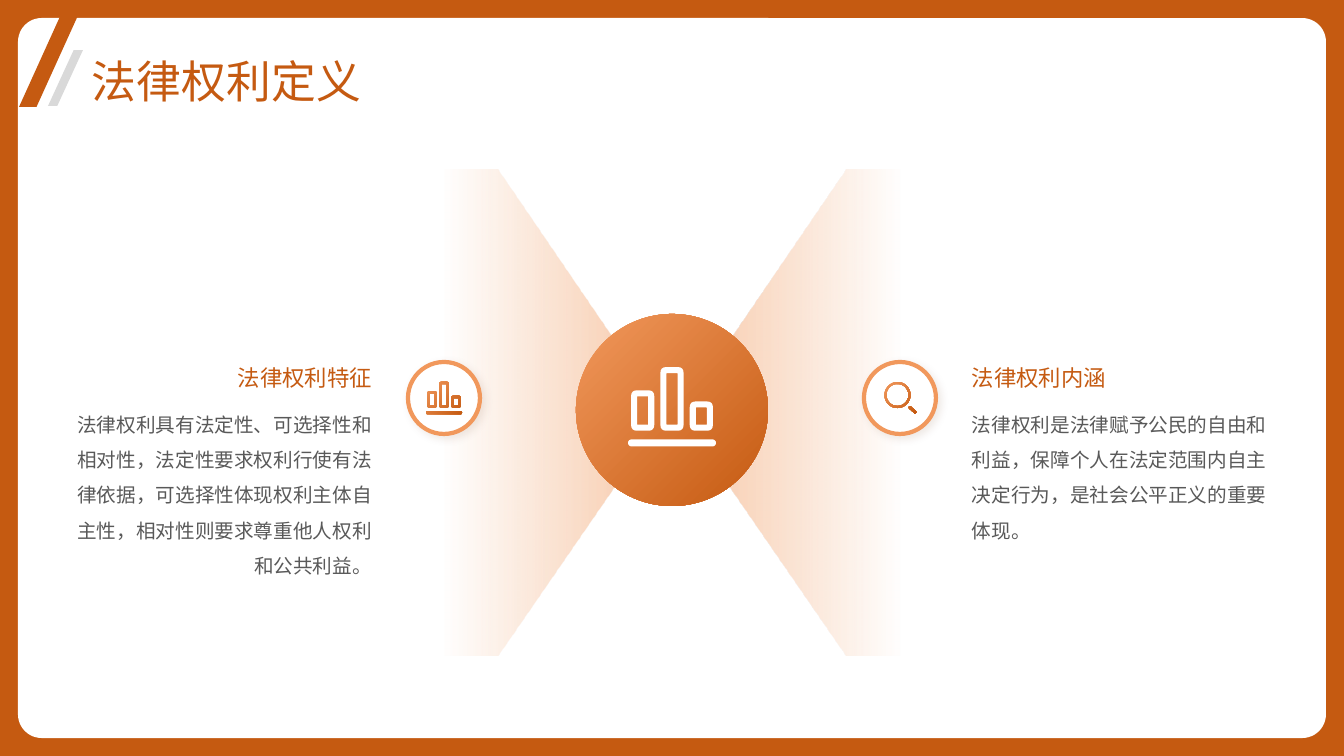
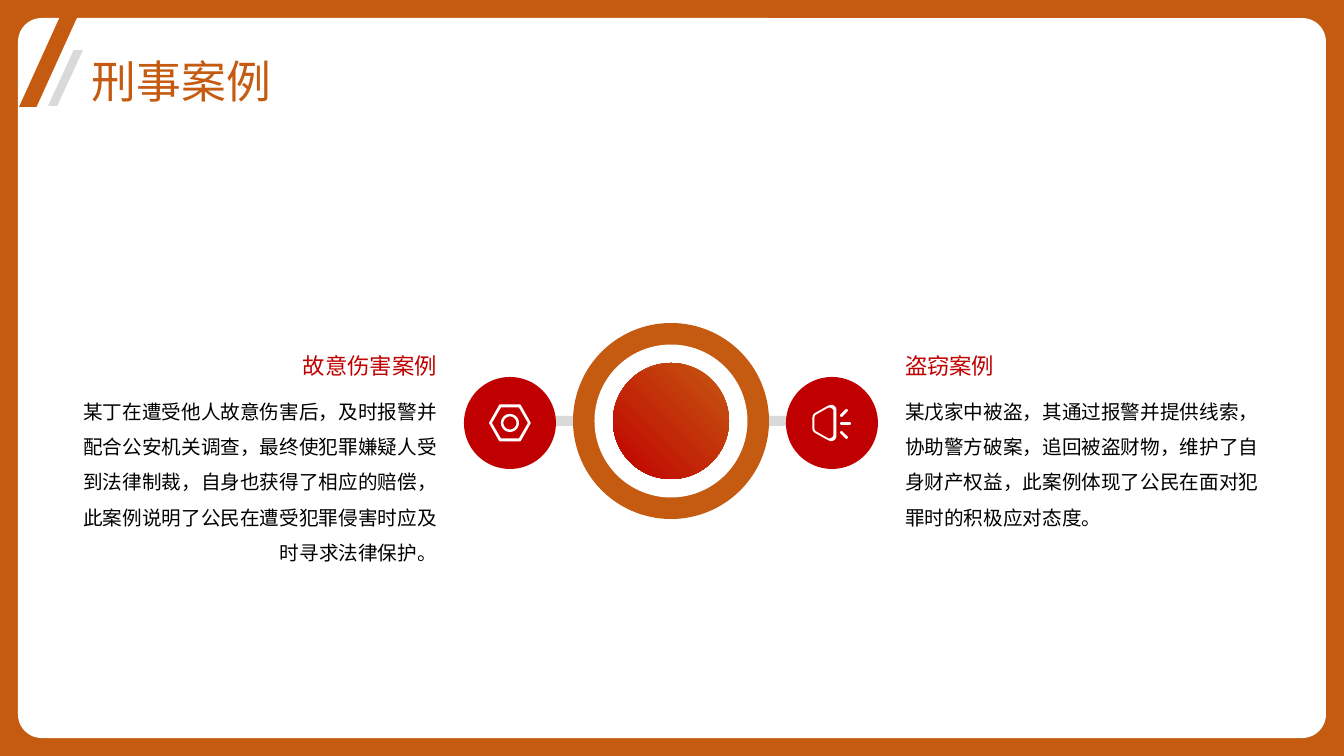
import math
from dataclasses import dataclass

import pptx
import pptx.dml.color
import pptx.enum.shapes
import pptx.enum.text
import pptx.oxml
import pptx.oxml.ns
import pptx.util

SHAPE = pptx.enum.shapes.MSO_SHAPE
ANCHOR = pptx.enum.text.MSO_ANCHOR
ALIGN = pptx.enum.text.PP_ALIGN
qn = pptx.oxml.ns.qn

EMU_PER_PX = 914400 / 100.8
SLIDE_W, SLIDE_H = 1344, 756


@dataclass(frozen=True)
class Gradient:
    start: str
    end: str
    angle: int  # clockwise degrees
    end_at: float = 1.0
    alphas: tuple = ()


@dataclass(frozen=True)
class Theme:
    font: str = "Noto Sans CJK SC"
    brand: str = "C55A11"
    light: str = "F1985C"
    red: str = "C00000"
    grey: str = "D9D9D9"
    white: str = "FFFFFF"
    black: str = "000000"
    body_grey: str = "595959"
    shadow: str = "622D08"
    title_pt: int = 32
    heading_pt: int = 16
    body_pt: int = 14


THEME = Theme()
BRAND_GRADIENT = Gradient(THEME.light, THEME.brand, 45)


def px(length):
    return pptx.util.Emu(round(length * EMU_PER_PX))


def rgb(colour):
    return pptx.dml.color.RGBColor.from_string(colour)


def paint(shape, fill):
    """Fill a shape with a colour or a Gradient, without line or shadow."""
    shape.shadow.inherit = False
    shape.line.fill.background()
    if isinstance(fill, str):
        shape.fill.solid()
        shape.fill.fore_color.rgb = rgb(fill)
        return shape
    shape.fill.gradient()
    shape.fill.gradient_angle = -fill.angle % 360
    first, last = shape.fill.gradient_stops
    first.color.rgb, last.color.rgb = rgb(fill.start), rgb(fill.end)
    first.position, last.position = 0, fill.end_at
    colours = shape._element.spPr.iter(qn("a:srgbClr"))
    for colour, alpha in zip(list(colours), fill.alphas):
        colour.append(pptx.oxml.parse_xml(
            f'<a:alpha {pptx.oxml.ns.nsdecls("a")} val="{alpha * 1000}"/>'))
    return shape


def add_block(slide, kind, box, fill, adjustment=None):
    shape = slide.shapes.add_shape(kind, *map(px, box))
    if adjustment is not None:
        shape.adjustments[0] = adjustment
    return paint(shape, fill)


def add_disc(slide, cx, cy, diameter, fill):
    box = (cx - diameter / 2, cy - diameter / 2, diameter, diameter)
    return add_block(slide, SHAPE.OVAL, box, fill)


def add_outline(slide, contours, fill):
    """Draw closed contours as one freeform; inner contours become holes."""
    contours = [[(px(x), px(y)) for x, y in points] for points in contours]
    builder = slide.shapes.build_freeform(*contours[0][0], scale=1.0)
    for index, points in enumerate(contours):
        if index:
            builder.move_to(*points[0])
        builder.add_line_segments(points[1:], close=True)
    return paint(builder.convert_to_shape(), fill)


def add_text(slide, box, text, size, colour, anchor=ANCHOR.TOP,
             align=ALIGN.LEFT, spacing=1.5):
    frame = slide.shapes.add_textbox(*map(px, box)).text_frame
    frame.word_wrap = True
    frame.margin_left = frame.margin_top = 0
    frame.margin_right = frame.margin_bottom = 0
    frame.vertical_anchor = anchor
    paragraph = frame.paragraphs[0]
    paragraph.text = text
    paragraph.alignment = align
    paragraph.line_spacing = spacing
    font = paragraph.font
    font.size = pptx.util.Pt(size)
    font.color.rgb = rgb(colour)
    font.name = THEME.font
    latin = next(paragraph._p.iter(qn("a:latin")))
    latin.addnext(pptx.oxml.parse_xml(
        f'<a:ea {pptx.oxml.ns.nsdecls("a")} typeface="{THEME.font}"/>'))


def rounded(vertices, radius):
    """Points of a polygon whose corners are cut by quadratic curves."""
    points = []
    for i, corner in enumerate(vertices):
        ends = []
        for other in (vertices[i - 1], vertices[(i + 1) % len(vertices)]):
            share = min(0.5, radius / math.dist(corner, other))
            ends.append([c + (o - c) * share for c, o in zip(corner, other)])
        for t in (0, 0.25, 0.5, 0.75, 1):
            points.append([(1 - t) ** 2 * a + 2 * t * (1 - t) * c + t * t * b
                           for a, c, b in zip(ends[0], corner, ends[1])])
    return points


def bar(left, top, right, bottom, radius):
    return rounded([(left, top), (right, top), (right, bottom),
                    (left, bottom)], radius)


def arc(cx, cy, radius, start=0, sweep=360, steps=48):
    angles = (math.radians(start + sweep * i / steps)
              for i in range(steps + 1))
    return [(cx + radius * math.cos(a), cy + radius * math.sin(a))
            for a in angles]


def capsule(x1, y1, x2, y2, radius):
    heading = math.degrees(math.atan2(y2 - y1, x2 - x1))
    return (arc(x2, y2, radius, heading - 90, 180, 8)
            + arc(x1, y1, radius, heading + 90, 180, 8))


@dataclass(frozen=True)
class Icon:
    width: int
    height: int
    contours: list


BARS = Icon(87, 79, [
    contour
    for left, top in ((3, 23), (32, 0), (61, 34))
    for contour in (bar(left, top, left + 23, 63, 6),
                    bar(left + 6, top + 6, left + 17, 57, 0.5))
] + [capsule(3.5, 75, 83.5, 75, 3.5)])

MAGNIFIER = Icon(32, 32, [
    arc(13.5, 13, 13), arc(13.5, 13, 11), capsule(26, 25.5, 31, 30, 1.3)])

NUT = Icon(42, 37, [
    rounded([(0, 18.5), (10.5, 0), (31.5, 0), (42, 18.5),
             (31.5, 37), (10.5, 37)], 1),
    [(3, 18.5), (12, 3), (30, 3), (39, 18.5), (30, 34), (12, 34)],
    arc(21, 18.5, 9), arc(21, 18.5, 6.5)])

HORN = Icon(39, 37, [
    rounded([(0, 10), (16, 1), (20, 0), (24, 3),
             (24, 34), (20, 37), (16, 36), (0, 27)], 3),
    rounded([(2, 11), (16, 3), (18, 3), (21, 5),
             (21, 32), (18, 34), (16, 34), (2, 26)], 2),
    capsule(29, 11, 34, 6, 1.4),
    capsule(29, 19, 37, 19, 1.4),
    capsule(29, 28, 34, 33, 1.4)])


def add_icon(slide, icon, cx, cy, width, fill):
    unit = width / icon.width
    left, top = cx - width / 2, cy - icon.height * unit / 2
    add_outline(slide, [[(left + x * unit, top + y * unit) for x, y in points]
                        for points in icon.contours], fill)


def add_frame(slide):
    add_block(slide, SHAPE.RECTANGLE, (0, 0, SLIDE_W, SLIDE_H), THEME.brand)
    add_block(slide, SHAPE.ROUNDED_RECTANGLE,
              (18, 18, SLIDE_W - 36, SLIDE_H - 36), THEME.white, 0.033)


def add_title(slide, title):
    add_text(slide, (92, 52, 1177, 51), title, THEME.title_pt, THEME.brand,
             ANCHOR.MIDDLE, spacing=1.1)
    for box, fill in (((19, 0, 66, 107), THEME.brand),
                      ((48, 50, 35, 56), THEME.grey)):
        add_block(slide, SHAPE.PARALLELOGRAM, box, fill, 0.735)


def add_passage(slide, box, side, heading, body, colours, gap):
    """Heading ending at the box top, body inside it; side -1 aligns right."""
    left, top, width, height = box
    align = ALIGN.RIGHT if side < 0 else ALIGN.LEFT
    heading_h = 45
    add_text(slide, (left, top - gap - heading_h, width, heading_h), heading,
             THEME.heading_pt, colours[0], ANCHOR.BOTTOM, align)
    add_text(slide, box, body, THEME.body_pt, colours[1], align=align)


def beside(axis, side, offset, top, width, height):
    """Box that starts offset px from the axis, on the given side."""
    left = axis + offset if side > 0 else axis - offset - width
    return left, top, width, height


def add_wedge(slide, axis, top, side):
    outline = [(174, 0), (276, 0), (276, 486), (174, 486), (52, 308), (52, 180)]
    fade = Gradient(THEME.light, THEME.light, 0 if side > 0 else 180,
                    0.79, (43, 0))
    add_outline(slide, [[(axis + side * x, top + y) for x, y in outline]], fade)


def add_badge(slide, cx, cy, icon, icon_w):
    badge = add_disc(slide, cx, cy, 72, THEME.white)
    badge.line.color.rgb = rgb(THEME.light)
    badge.line.width = pptx.util.Pt(3)
    badge._element.spPr.find(qn("a:effectLst")).append(pptx.oxml.parse_xml(
        f'<a:outerShdw {pptx.oxml.ns.nsdecls("a")} blurRad="76200" '
        'dist="38100" dir="2700000" algn="tl" rotWithShape="0">'
        f'<a:srgbClr val="{THEME.shadow}"><a:alpha val="10000"/></a:srgbClr>'
        '</a:outerShdw>'))
    add_icon(slide, icon, cx, cy, icon_w, BRAND_GRADIENT)


def build_definition(slide, title, topics):
    axis, middle = 672, 410
    add_frame(slide)
    for side in (1, -1):
        add_wedge(slide, axis, 170, side)
    add_disc(slide, axis, middle, 192, BRAND_GRADIENT)
    add_icon(slide, BARS, axis, middle - 3, 88, THEME.white)
    for side, icon, icon_w, heading, body in topics:
        add_badge(slide, axis + side * 228, middle - 12, icon, icon_w)
        add_passage(slide, beside(axis, side, 300, 401, 298, 207), side,
                    heading, body, (THEME.brand, THEME.body_grey), 10)
    add_title(slide, title)


def build_cases(slide, title, cases):
    axis, middle = 671, 421
    add_frame(slide)
    for side in (-1, 1):
        add_block(slide, SHAPE.RECTANGLE,
                  beside(axis, side, 86, middle - 5, 50, 10), THEME.grey)
    add_disc(slide, axis, middle, 196, THEME.brand)
    add_disc(slide, axis, middle, 153, THEME.white)
    for side, icon, icon_w, heading, body in cases:
        cx, cy = axis + side * 161, middle + 2
        add_disc(slide, cx, cy, 92, THEME.red)
        add_icon(slide, icon, cx, cy, icon_w, THEME.white)
        add_passage(slide, beside(axis, side, 234, 388, 365, 175), side,
                    heading, body, (THEME.red, THEME.black), 9)
    add_disc(slide, axis, middle, 116, Gradient(THEME.brand, THEME.red, 135))
    add_title(slide, title)


def main():
    deck = pptx.Presentation()
    deck.slide_width, deck.slide_height = px(SLIDE_W), px(SLIDE_H)
    blank = deck.slide_layouts[6]
    build_definition(deck.slides.add_slide(blank), "法律权利定义", [
        (1, MAGNIFIER, 32, "法律权利内涵",
         "法律权利是法律赋予公民的自由和利益，保障个人在法定范围内自主决定行为，"
         "是社会公平正义的重要体现。"),
        (-1, BARS, 36, "法律权利特征",
         "法律权利具有法定性、可选择性和相对性，法定性要求权利行使有法律依据，"
         "可选择性体现权利主体自主性，相对性则要求尊重他人权利和公共利益。"),
    ])
    build_cases(deck.slides.add_slide(blank), "刑事案例", [
        (-1, NUT, 42, "故意伤害案例",
         "某丁在遭受他人故意伤害后，及时报警并配合公安机关调查，"
         "最终使犯罪嫌疑人受到法律制裁，自身也获得了相应的赔偿，"
         "此案例说明了公民在遭受犯罪侵害时应及时寻求法律保护。"),
        (1, HORN, 39, "盗窃案例",
         "某戊家中被盗，其通过报警并提供线索，协助警方破案，追回被盗财物，"
         "维护了自身财产权益，此案例体现了公民在面对犯罪时的积极应对态度。"),
    ])
    deck.save("out.pptx")


if __name__ == "__main__":
    main()
